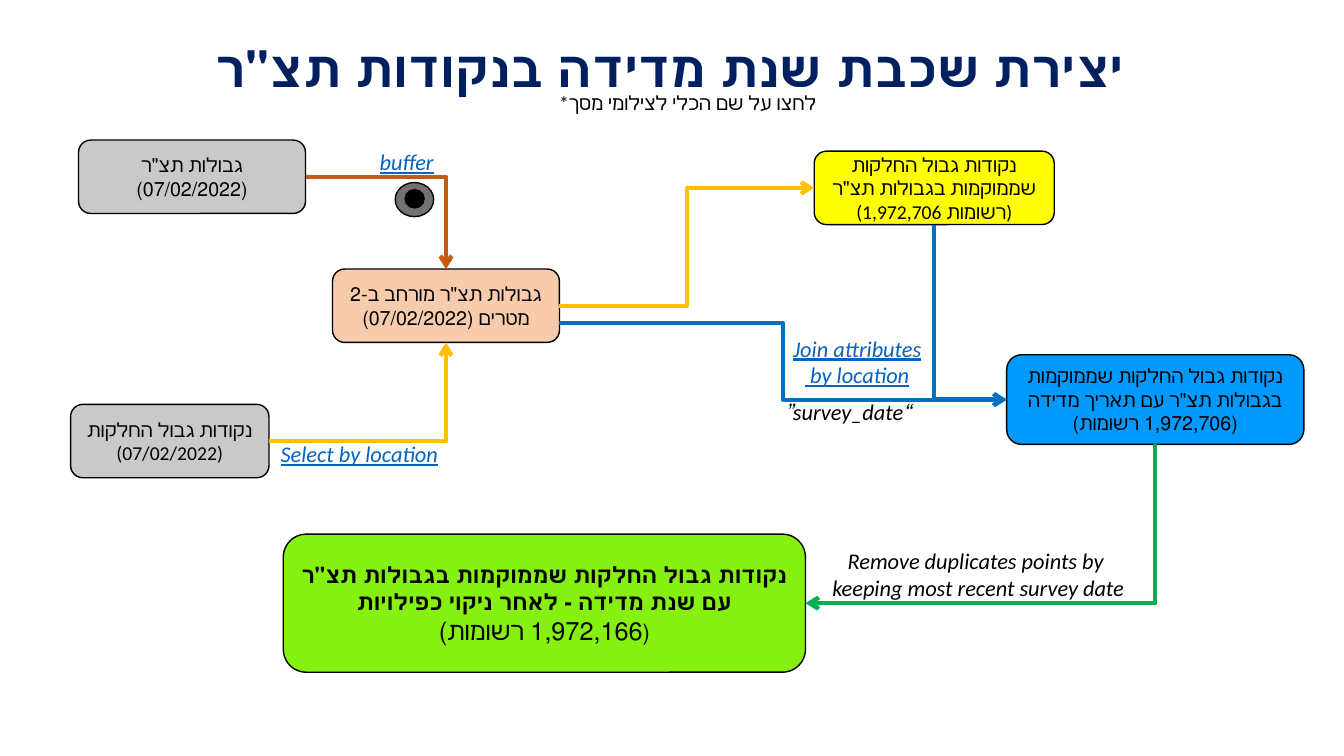
from pptx import Presentation
from pptx import util as u
from pptx.dml.color import RGBColor
from pptx.enum import shapes, text
from pptx.oxml.xmlchemy import OxmlElement


def colour(value):
    return RGBColor.from_string(value)


class FlowSlide:
    font = "Calibri"
    ink = "000000"
    link = "0563C1"

    def __init__(self, slide):
        self.slide = slide

    def fill_text(self, frame, lines, size, color=ink, bold=False, italic=False,
                  underline=False, rtl=False):
        frame.word_wrap = True
        frame.text = "\n".join(lines)
        for paragraph in frame.paragraphs:
            paragraph.alignment = text.PP_ALIGN.CENTER
            if rtl:
                paragraph._p.get_or_add_pPr().set("rtl", "1")
            for run in paragraph.runs:
                self.format_run(run, size, color, bold, italic, underline)

    def format_run(self, run, size, color=ink, bold=False, italic=False,
                   underline=False):
        run.font.name = self.font
        run.font.size = u.Pt(size)
        run.font.color.rgb = colour(color)
        run.font.bold = bold
        run.font.italic = italic
        run.font.underline = underline

    def title(self, box, line):
        shape = self.slide.shapes.title
        shape.left, shape.top, shape.width, shape.height = map(u.Cm, box)
        frame = shape.text_frame
        self.fill_text(frame, [line], 36, "002060", bold=True, rtl=True)
        frame.auto_size = text.MSO_AUTO_SIZE.NONE
        frame.vertical_anchor = text.MSO_ANCHOR.MIDDLE
        frame.paragraphs[0].line_spacing = 0.9

    def shape(self, kind, box, fill):
        shape = self.slide.shapes.add_shape(kind, *map(u.Cm, box))
        shape.shadow.inherit = False
        shape.fill.solid()
        shape.fill.fore_color.rgb = colour(fill)
        shape.line.color.rgb = colour(self.ink)
        shape.line.width = u.Pt(1)
        return shape

    def dot(self, box, fill):
        self.shape(shapes.MSO_SHAPE.OVAL, box, fill)

    def node(self, box, fill, lines, size=14, bold=False, rtl=True):
        shape = self.shape(shapes.MSO_SHAPE.ROUNDED_RECTANGLE, box, fill)
        shape.text_frame.vertical_anchor = text.MSO_ANCHOR.MIDDLE
        self.fill_text(shape.text_frame, lines, size, bold=bold, rtl=rtl)
        return shape

    def label(self, box, lines, size=16, **style):
        frame = self.slide.shapes.add_textbox(*map(u.Cm, box)).text_frame
        self.fill_text(frame, lines, size, **style)
        frame.auto_size = text.MSO_AUTO_SIZE.SHAPE_TO_FIT_TEXT

    def arrow(self, start, end, color, corners=1, down_first=False):
        (x1, y1), (x2, y2) = start, end
        if down_first:
            middle_x, middle_y = (x1 + x2) / 2, (y1 + y2) / 2
            along, across = (y2 - y1) / 2, (x2 - x1) / 2
            x1, y1 = middle_x - along, middle_y + across
            x2, y2 = middle_x + along, middle_y - across
        connector = self.slide.shapes.add_connector(
            shapes.MSO_CONNECTOR.ELBOW, *map(u.Cm, (x1, y1, x2, y2)))
        properties = connector._element.spPr
        if corners == 1:
            properties.prstGeom.set("prst", "bentConnector2")
        if down_first:
            properties.xfrm.set("rot", str(90 * 60000))
        connector.line.color.rgb = colour(color)
        connector.line.width = u.Pt(3)
        head = OxmlElement("a:tailEnd")
        head.set("type", "arrow")
        connector.line._get_or_add_ln().append(head)
        properties.append(OxmlElement("a:effectLst"))


def side(box, name, shift=0):
    left, top, width, height = box
    return {
        "top": (left + width / 2, top),
        "left": (left, top + height / 2 + shift),
        "bottom": (left + width / 2, top + height),
        "right": (left + width, top + height / 2 + shift),
    }[name]


def main():
    presentation = Presentation()
    presentation.slide_width = u.Cm(33.87)
    presentation.slide_height = u.Cm(19.05)
    flow = FlowSlide(presentation.slides.add_slide(presentation.slide_layouts[5]))

    flow.title((1.73, 0.94, 30.3, 1.73), 'יצירת שכבת שנת מדידה בנקודות תצ"ר')
    flow.label((13.31, 2.16, 8.05, 0.86), ["*לחצו על שם הכלי לצילומי מסך"], size=14)

    bounds = (1.98, 3.53, 5.72, 1.85)
    parcels = (1.78, 10.19, 5, 1.85)
    buffered = (8.38, 6.78, 5.72, 1.85)
    selected = (20.52, 3.81, 6.05, 1.85)
    joined = (25.37, 8.94, 7.49, 2.26)
    cleaned = (7.14, 13.46, 13.16, 3.48)

    flow.node(bounds, "C9C9C9", ['גבולות תצ"ר (07/02/2022)'])
    flow.node(parcels, "C9C9C9", ["נקודות גבול החלקות", "(07/02/2022)"], rtl=False)
    flow.node(buffered, "F8CBAD", ['גבולות תצ"ר מורחב ב-2 מטרים (07/02/2022)'])
    flow.node(selected, "FFFF00",
              ['נקודות גבול החלקות שממוקמות בגבולות תצ"ר', "(1,972,706 רשומות)"],
              rtl=False)
    flow.node(joined, "0099FF",
              ['נקודות גבול החלקות שממוקמות בגבולות תצ"ר עם תאריך מדידה',
               "(1,972,706 רשומות)"])
    result = flow.node(
        cleaned, "86F011",
        ['נקודות גבול החלקות שממוקמות בגבולות תצ"ר עם שנת מדידה - לאחר ניקוי כפילויות',
         "("], size=16, bold=True)
    count = result.text_frame.paragraphs[1]
    count.runs[0].font.bold = False
    count_run = count.add_run()
    count_run.text = "1,972,166 רשומות)"
    flow.format_run(count_run, 18)

    flow.dot((9.96, 4.6, 0.97, 0.86), "767171")
    flow.dot((10.21, 4.78, 0.48, 0.46), "000000")

    flow.arrow(side(bounds, "right"), side(buffered, "top"), "C55A11")
    flow.arrow(side(parcels, "right"), side(buffered, "bottom"), "FFC000")
    flow.arrow(side(joined, "bottom"), side(cleaned, "right"), "00B050",
               down_first=True)
    flow.arrow(side(buffered, "right", 0.44), side(joined, "left"), "0070C0",
               corners=2)
    flow.arrow(side(selected, "bottom"), side(joined, "left"), "0070C0",
               down_first=True)
    flow.arrow(side(buffered, "right"), side(selected, "left"), "FFC000",
               corners=2)

    tool = {"color": flow.link, "italic": True, "underline": True}
    flow.label((9.17, 3.61, 2.16, 0.94), ["buffer"], rtl=True, **tool)
    flow.label((6.78, 10.97, 4.55, 0.94), ["Select by location"], rtl=True, **tool)
    flow.label((19.51, 8.31, 4.19, 1.63), ["Join attributes", " by location"], **tool)
    flow.label((19, 9.91, 4.75, 0.94), ["“survey_date”"], italic=True, rtl=True)
    flow.label((19.94, 13.67, 9.3, 1.63),
               ["Remove duplicates points by", " keeping most recent survey date"],
               italic=True)

    presentation.save("out.pptx")


if __name__ == "__main__":
    main()
